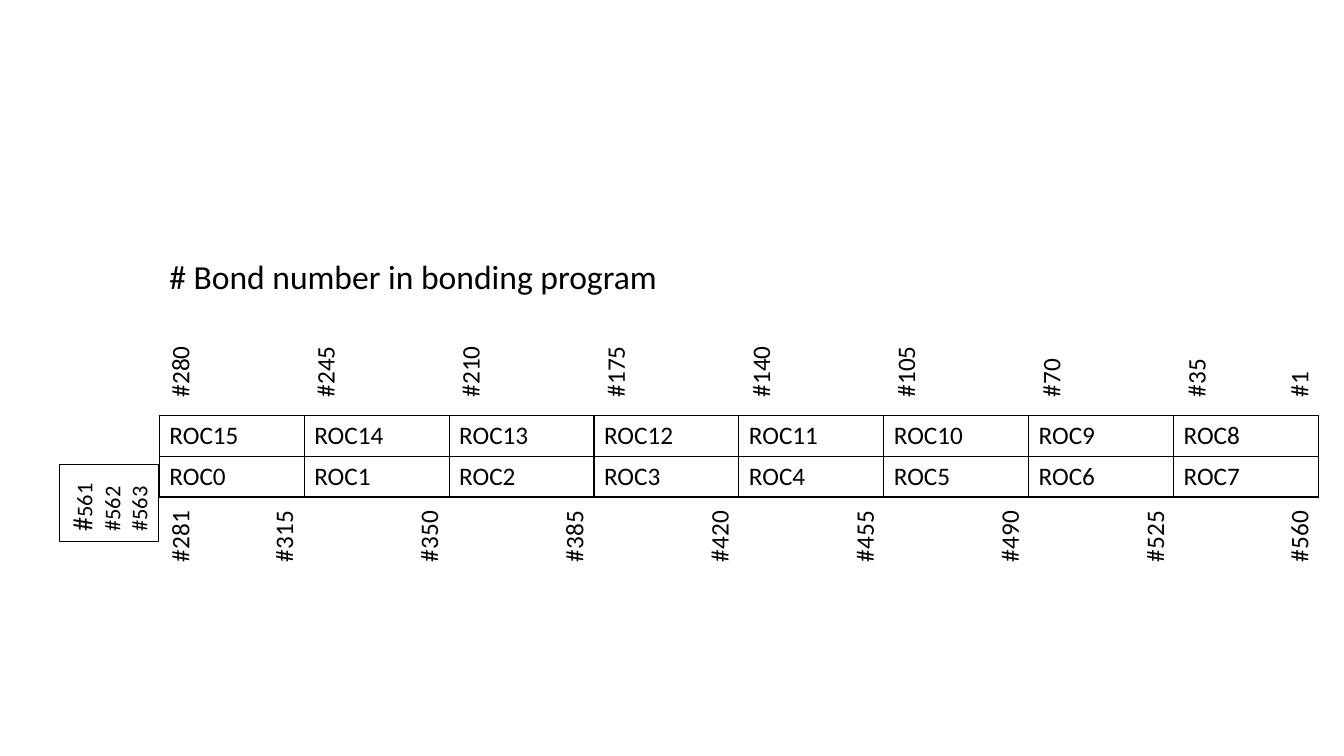
from lxml import etree
from pptx import Presentation
from pptx.dml.color import RGBColor
from pptx.enum import shapes, text
from pptx.oxml import ns
from pptx.util import Pt

BLACK = RGBColor(0, 0, 0)
FONT = "Calibri"
TABLE_LEFT, TABLE_TOP = 113.8, 296.6
COLUMN_WIDTH, ROW_HEIGHT = 103.5, 29.2
LABEL_STEP, LABEL_HEIGHT = 103.7, 29
LABEL_SIZE = 18
BONDS_PER_ROC, ROC_COLUMNS = 35, 8
FIRST_LABEL_X, LAST_LABEL_X = 128.2, 927.6
UPPER_LABEL_BASE, LOWER_LABEL_BASE = 290.7, 408.5


def set_attributes(target, values):
    """Set every attribute of the target from a dict of format values."""
    for name, value in values.items():
        setattr(target, name, value)


def add_run(paragraph, content, size):
    """Append a black run of the given size to a paragraph."""
    run = paragraph.add_run()
    set_attributes(run, {"text": content})
    set_attributes(run.font, {"name": FONT, "size": Pt(size), "bold": False})
    run.font.color.rgb = BLACK


def format_frame(frame):
    """Wrap text from the top and let the shape fit it."""
    set_attributes(frame, {
        "word_wrap": True,
        "vertical_anchor": text.MSO_ANCHOR.TOP,
        "auto_size": text.MSO_AUTO_SIZE.SHAPE_TO_FIT_TEXT,
    })


def add_text(slide, content, left, top, width, height, size, rotation=0):
    """Add a text box holding one line."""
    shape = slide.shapes.add_textbox(Pt(left), Pt(top), Pt(width), Pt(height))
    shape.rotation = rotation
    format_frame(shape.text_frame)
    add_run(shape.text_frame.paragraphs[0], content, size)


def add_bond_label(slide, number, center_x, base):
    """Add an upward-reading bond number that starts at the base."""
    width = 57.6 if number >= 100 else 46.8
    left = center_x - width / 2
    top = base - width / 2 - LABEL_HEIGHT / 2
    add_text(slide, f"#{number}", left, top, width, LABEL_HEIGHT, LABEL_SIZE, 270)


def add_bond_labels(slide):
    """Label the bonds above and below the readout chips."""
    for index in range(ROC_COLUMNS):
        upper = BONDS_PER_ROC * (ROC_COLUMNS - index)
        lower = BONDS_PER_ROC * (ROC_COLUMNS + 1 + index)
        upper_x = FIRST_LABEL_X + index * LABEL_STEP
        lower_x = min(202.3 + index * LABEL_STEP, LAST_LABEL_X)
        add_bond_label(slide, upper, upper_x, UPPER_LABEL_BASE)
        add_bond_label(slide, lower, lower_x, LOWER_LABEL_BASE)
    add_bond_label(slide, 281, FIRST_LABEL_X, LOWER_LABEL_BASE)
    add_bond_label(slide, 1, LAST_LABEL_X, UPPER_LABEL_BASE)


def add_cell_borders(cell):
    """Draw a one-point black line on each side of a cell."""
    properties = cell._tc.get_or_add_tcPr()
    for side in ("a:lnL", "a:lnR", "a:lnT", "a:lnB"):
        line = etree.SubElement(properties, ns.qn(side), w=str(Pt(1)))
        fill = etree.SubElement(line, ns.qn("a:solidFill"))
        etree.SubElement(fill, ns.qn("a:srgbClr"), val=str(BLACK))


def add_roc_table(slide):
    """Add the two rows of readout chips."""
    rows = [range(15, 7, -1), range(ROC_COLUMNS)]
    frame = slide.shapes.add_table(
        len(rows), ROC_COLUMNS, Pt(TABLE_LEFT), Pt(TABLE_TOP),
        Pt(COLUMN_WIDTH * ROC_COLUMNS), Pt(ROW_HEIGHT * len(rows)))
    table = frame.table
    set_attributes(table, {"first_row": False, "horz_banding": False})
    for column in table.columns:
        column.width = Pt(COLUMN_WIDTH)
    for row_index, chips in enumerate(rows):
        table.rows[row_index].height = Pt(ROW_HEIGHT)
        for column_index, chip in enumerate(chips):
            cell = table.cell(row_index, column_index)
            add_run(cell.text_frame.paragraphs[0], f"ROC{chip}", LABEL_SIZE)
            add_cell_borders(cell)
            cell.fill.background()


def add_extra_bonds_box(slide):
    """Add the outlined box listing the three extra bonds."""
    shape = slide.shapes.add_shape(
        shapes.MSO_SHAPE.RECTANGLE, Pt(50.4), Pt(324), Pt(54.7), Pt(70.6))
    shape.rotation = 270
    shape.shadow.inherit = False
    shape.fill.background()
    shape.line.color.rgb = BLACK
    shape.line.width = Pt(0.75)
    frame = shape.text_frame
    format_frame(frame)
    lines = [[("#", 20), ("561", 16)], [("#562", 16)], [("#563", 16)]]
    for index, runs in enumerate(lines):
        paragraph = frame.add_paragraph() if index else frame.paragraphs[0]
        paragraph.alignment = text.PP_ALIGN.LEFT
        for content, size in runs:
            add_run(paragraph, content, size)


def main():
    """Build the bond numbering slide."""
    presentation = Presentation()
    set_attributes(presentation, {"slide_width": Pt(960), "slide_height": Pt(540)})
    slide = presentation.slides.add_slide(presentation.slide_layouts[6])
    add_roc_table(slide)
    add_bond_labels(slide)
    add_extra_bonds_box(slide)
    add_text(slide, "# Bond number in bonding program", TABLE_LEFT, 179.3, 423.4, 36, 24)
    presentation.save("out.pptx")


main()
